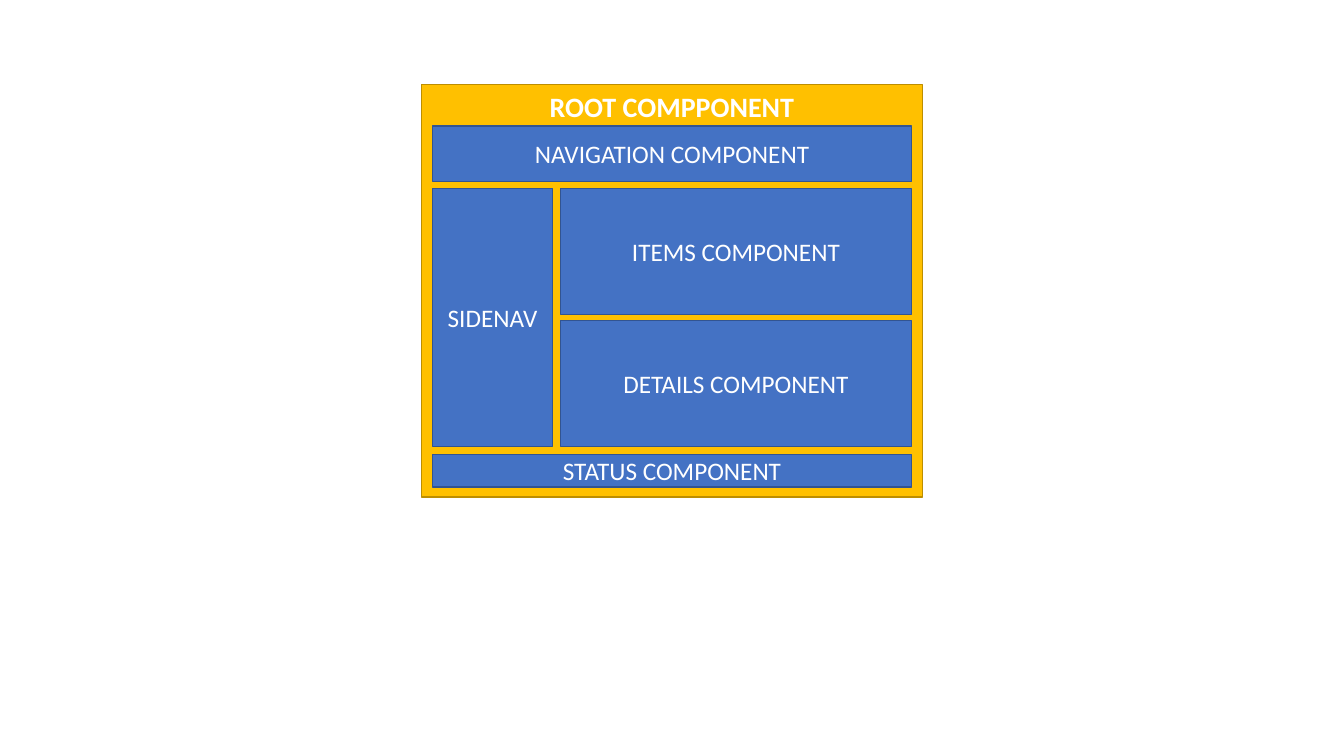
from pptx import Presentation
from pptx.dml.color import RGBColor
from pptx.enum.shapes import MSO_SHAPE
from pptx.enum.text import MSO_ANCHOR, PP_ALIGN
from pptx.util import Inches, Pt


def paint(part, color):
    part.solid()
    part.fore_color.rgb = RGBColor.from_string(color)


deck = Presentation()
deck.slide_width, deck.slide_height = Inches(13.33), Inches(7.5)
slide = deck.slides.add_slide(deck.slide_layouts[6])

# Grid: (start, size) of columns and rows, in inches
left, right, gap = 4.29, 9.04, 0.08
side = 1.19
main = left + side + gap
cols = {
    "root": (4.18, 4.97),
    "full": (left, right - left),
    "side": (left, side),
    "main": (main, right - main),
}
top, half, split = 1.87, 1.25, 0.06
rows = {
    "root": (0.84, 4.09),
    "nav": (1.25, 0.55),
    "body": (top, 2 * half + split),
    "items": (top, half),
    "details": (top + half + split, half),
    "status": (4.51, 0.32),
}

# Looks: fill, line, anchor and font
gold = ("FFC000", "BD8E00", MSO_ANCHOR.TOP, {"size": Pt(20), "bold": True})
blue = ("4472C4", "325491", MSO_ANCHOR.MIDDLE, {"size": Pt(18), "bold": False})

# Boxes, back to front
boxes = [
    ("ROOT COMPPONENT", "root", "root", gold),
    ("NAVIGATION COMPONENT", "full", "nav", blue),
    ("SIDENAV", "side", "body", blue),
    ("ITEMS COMPONENT", "main", "items", blue),
    ("DETAILS COMPONENT", "main", "details", blue),
    ("STATUS COMPONENT", "full", "status", blue),
]
for label, col, row, (fill, line, anchor, font) in boxes:
    (x, wide), (y, high) = cols[col], rows[row]
    box = slide.shapes.add_shape(
        MSO_SHAPE.RECTANGLE, Inches(x), Inches(y), Inches(wide), Inches(high))
    box.shadow.inherit = False
    paint(box.fill, fill)
    paint(box.line.fill, line)
    box.line.width = Pt(1)

    # Label
    frame = box.text_frame
    frame.word_wrap = True
    frame.vertical_anchor = anchor
    para = frame.paragraphs[0]
    para.alignment = PP_ALIGN.CENTER
    run = para.add_run()
    run.text = label
    for name, value in {"name": "Calibri", **font}.items():
        setattr(run.font, name, value)
    paint(run.font.fill, "FFFFFF")

deck.save("out.pptx")
